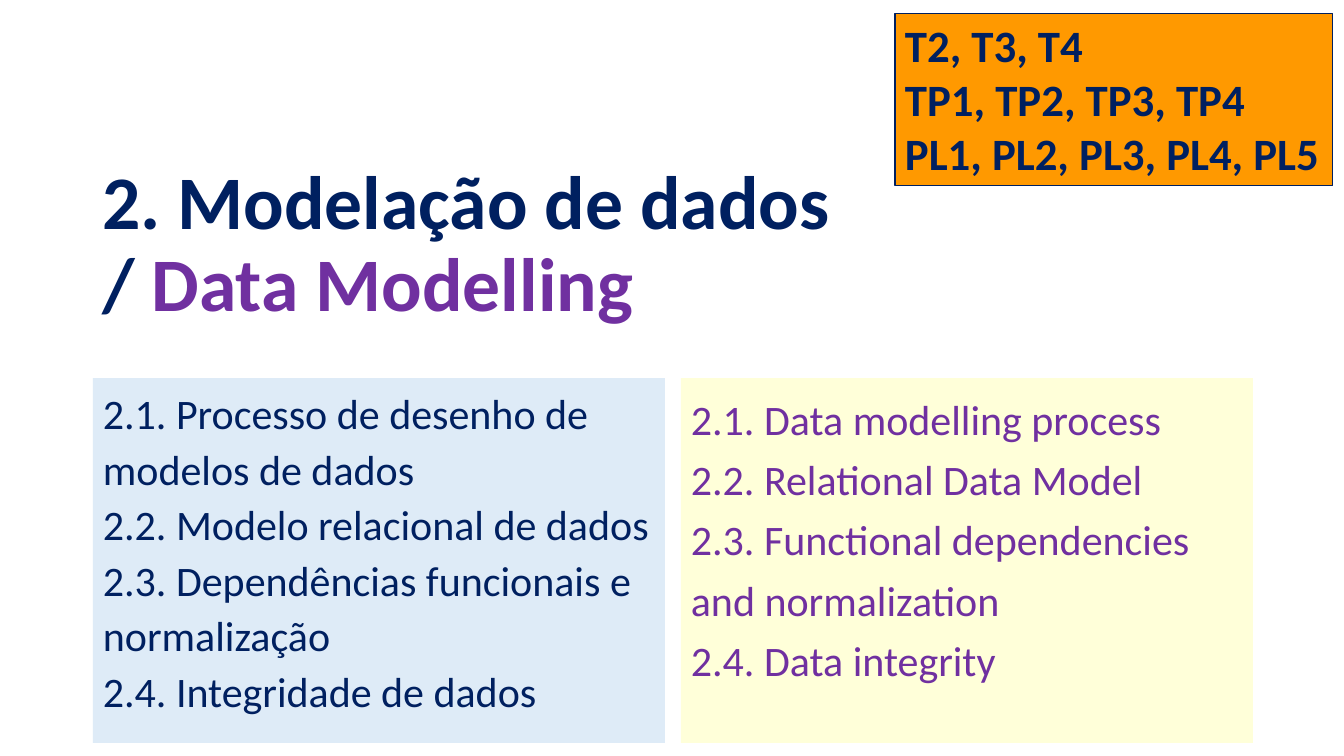
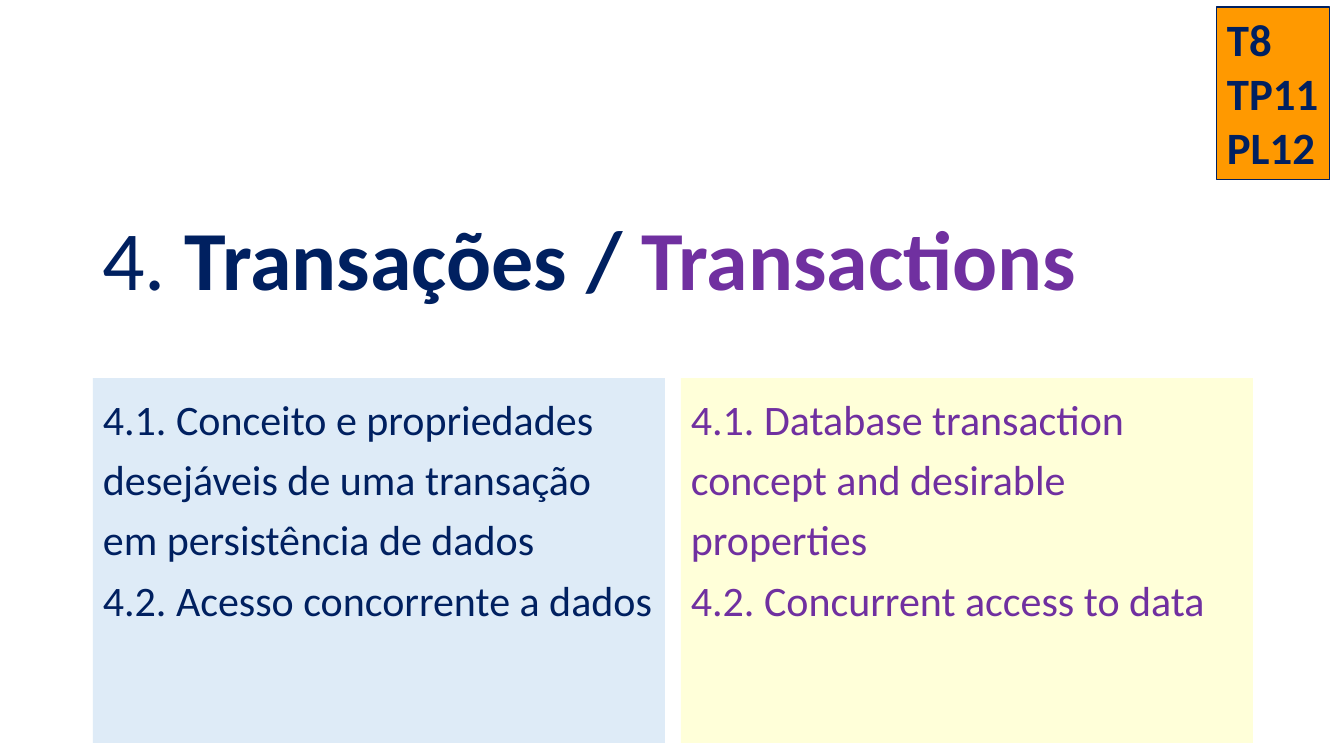
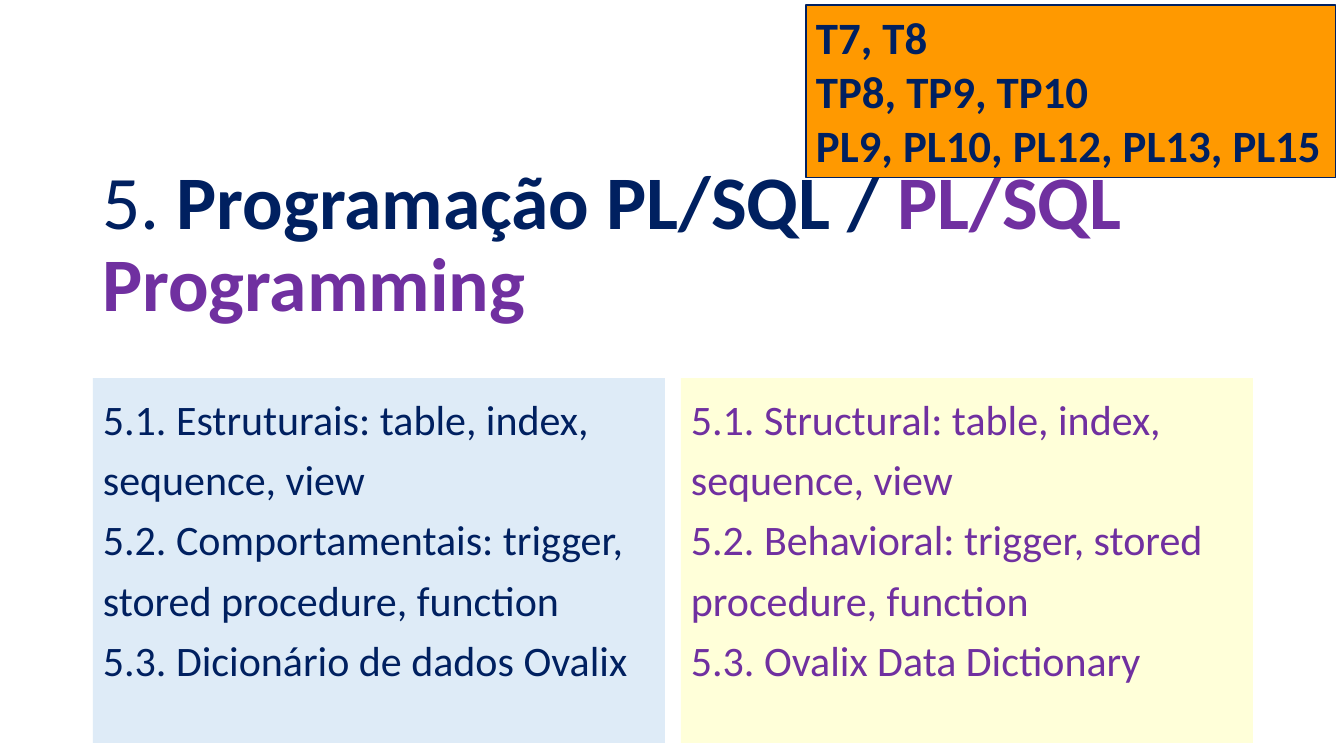
from pptx import Presentation, util as u
from pptx.dml.color import RGBColor
from pptx.enum import shapes, text

PX = 12192000 / 1344
FONT = "Calibri"
COLORS = {
    "navy": "002060",
    "purple": "7030A0",
    "blue": "DEEBF7",
    "yellow": "FFFFD9",
    "orange": "FF9900",
}


def style(span, size, color, bold=False):
    span.font.name = FONT
    span.font.size = u.Pt(size)
    span.font.bold = bold
    span.font.color.rgb = RGBColor.from_string(COLORS[color])


def add_panel(page, place, fill, lines, size, color, spacing=1.0, bold=False):
    box = page.shapes.add_shape(
        shapes.MSO_SHAPE.RECTANGLE, *[u.Emu(round(v * PX)) for v in place])
    box.shadow.inherit = False
    box.fill.solid()
    box.fill.fore_color.rgb = RGBColor.from_string(COLORS[fill])
    box.line.fill.background()
    frame = box.text_frame
    frame.word_wrap = True
    frame.vertical_anchor = text.MSO_ANCHOR.TOP
    frame.text = "\n".join(lines)
    for para in frame.paragraphs:
        para.alignment = text.PP_ALIGN.LEFT
        para.line_spacing = spacing
        for span in para.runs:
            style(span, size, color, bold)
    return box


# Shared geometry, in px
TITLE_LEFT, TITLE_TOP, TITLE_WIDTH = 92, 150, 1159
PANEL_LEFT, PANEL_TOP, PANEL_WIDTH, PANEL_HEIGHT, PANEL_GAP = 93, 378, 572, 365, 16
BADGE_HEIGHT = 173

# Title parts are (text, colour, bold); "\v" is a line break
CHAPTERS = [
    {
        "title": [("2. Modelação de dados", "navy", True), ("\v", "navy", True),
                  ("/ ", "navy", True), ("Data Modelling", "purple", True)],
        "title_size": 54, "title_bottom": 333,
        "portuguese": ["2.1. Processo de desenho de modelos de dados",
                       "2.2. Modelo relacional de dados",
                       "2.3. Dependências funcionais e normalização",
                       "2.4. Integridade de dados"],
        "portuguese_spacing": 1.1,
        "english": ["2.1. Data modelling process",
                    "2.2. Relational Data Model",
                    "2.3. Functional dependencies and normalization",
                    "2.4. Data integrity"],
        "badge": ["T2, T3, T4", "TP1, TP2, TP3, TP4", "PL1, PL2, PL3, PL4, PL5"],
        "badge_place": (895, 13, 438),
    },
    {
        "title": [("4. ", "navy", False), ("Transações / ", "navy", True),
                  ("Transactions", "purple", True)],
        "title_size": 60, "title_bottom": 314,
        "portuguese": ["4.1. Conceito e propriedades desejáveis de uma transação "
                       "em persistência de dados",
                       "4.2. Acesso concorrente a dados"],
        "portuguese_spacing": 1.2,
        "english": ["4.1. Database transaction concept and desirable properties",
                    "4.2. Concurrent access to data"],
        "badge": ["T8", "TP11", "PL12"],
        "badge_place": (1217, 7, 113),
    },
    {
        "title": [("5. ", "navy", False), ("Programação PL/SQL / ", "navy", True),
                  ("PL/SQL Programming", "purple", True)],
        "title_size": 54, "title_bottom": 333,
        "portuguese": ["5.1. Estruturais: table, index, sequence, view",
                       "5.2. Comportamentais: trigger, stored procedure, function",
                       "5.3. Dicionário de dados Ovalix"],
        "portuguese_spacing": 1.2,
        "english": ["5.1. Structural: table, index, sequence, view",
                    "5.2. Behavioral: trigger, stored procedure, function",
                    "5.3. Ovalix Data Dictionary"],
        "badge": ["T7, T8", "TP8, TP9, TP10", "PL9, PL10, PL12, PL13, PL15"],
        "badge_place": (806, 5, 530),
    },
]

deck = Presentation()
deck.slide_width = u.Emu(round(1344 * PX))
deck.slide_height = u.Emu(round(756 * PX))

for chapter in CHAPTERS:
    page = deck.slides.add_slide(deck.slide_layouts[5])

    # Bilingual title, standing on its bottom edge
    title = page.shapes.title
    title.left, title.top, title.width, title.height = [
        u.Emu(round(v * PX)) for v in
        (TITLE_LEFT, TITLE_TOP, TITLE_WIDTH, chapter["title_bottom"] - TITLE_TOP)]
    frame = title.text_frame
    frame.word_wrap = True
    frame.auto_size = text.MSO_AUTO_SIZE.NONE
    frame.vertical_anchor = text.MSO_ANCHOR.BOTTOM
    para = frame.paragraphs[0]
    para.alignment = text.PP_ALIGN.LEFT
    para.line_spacing = 0.9
    for words, color, bold in chapter["title"]:
        if words == "\v":
            para.add_line_break()
            continue
        span = para.add_run()
        span.text = words
        style(span, chapter["title_size"], color, bold)

    # Portuguese and English contents side by side
    columns = [("portuguese", "blue", "navy", chapter["portuguese_spacing"]),
               ("english", "yellow", "purple", 1.2)]
    for i, (language, fill, color, spacing) in enumerate(columns):
        left = PANEL_LEFT + i * (PANEL_WIDTH + PANEL_GAP)
        add_panel(page, (left, PANEL_TOP, PANEL_WIDTH, PANEL_HEIGHT), fill,
                  chapter[language], 30, color, spacing)

    # Class badge in the top right corner
    badge = add_panel(page, (*chapter["badge_place"], BADGE_HEIGHT), "orange",
                      chapter["badge"], 32, "navy", bold=True)
    badge.line.color.rgb = RGBColor.from_string(COLORS["navy"])
    badge.line.width = u.Pt(0.75)
    badge.text_frame.word_wrap = False
    badge.text_frame.auto_size = text.MSO_AUTO_SIZE.SHAPE_TO_FIT_TEXT

deck.save("out.pptx")
